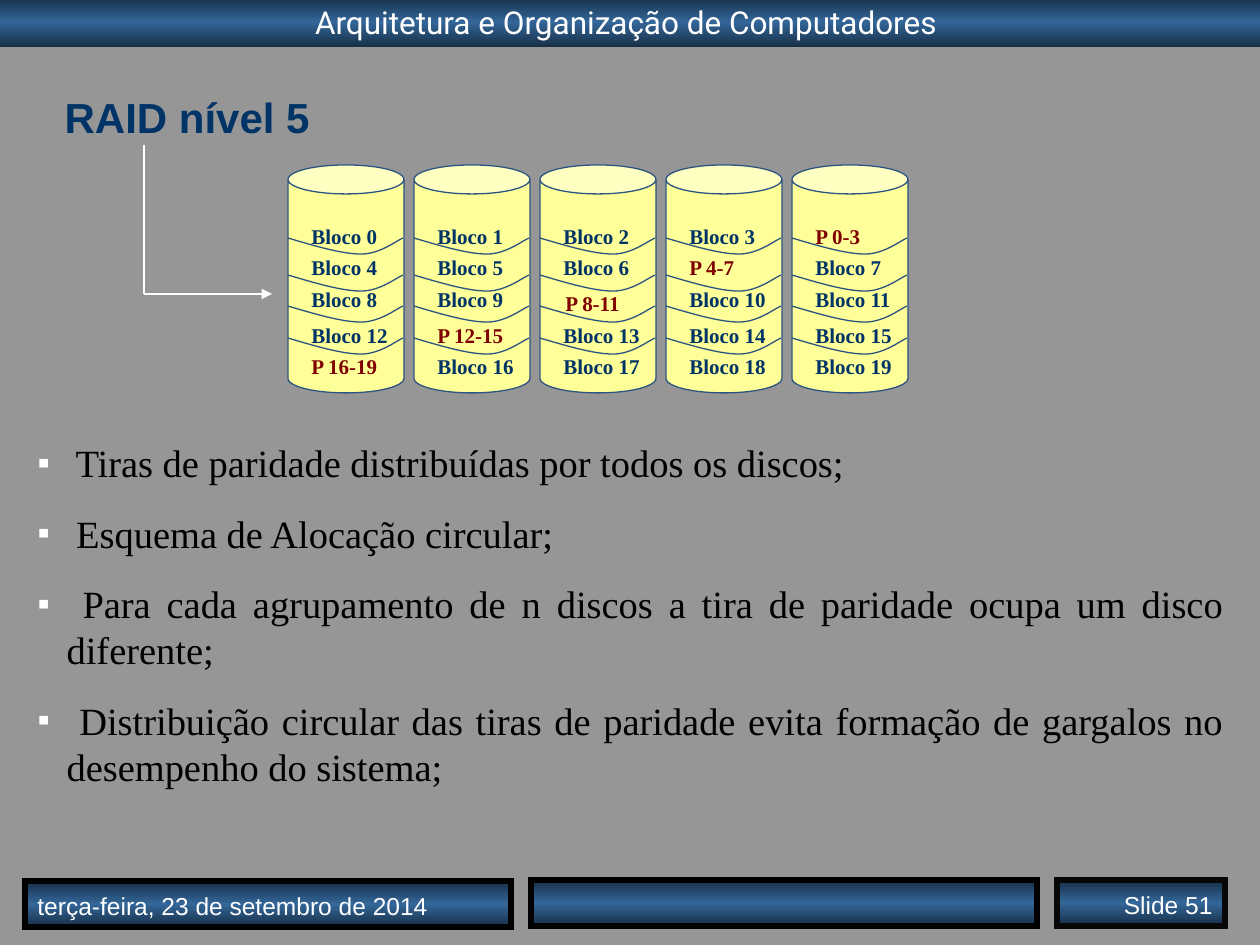
"""Builds the RAID level 5 slide: striped disks, title and bullet list."""
from lxml import etree
from pptx import Presentation
from pptx.dml.color import RGBColor
from pptx.enum.shapes import MSO_CONNECTOR, MSO_SHAPE
from pptx.enum.text import MSO_ANCHOR, MSO_AUTO_SIZE, PP_ALIGN
from pptx.oxml import parse_xml
from pptx.oxml.ns import nsdecls, qn
from pptx.util import Pt

PX = 914400 / 126
LEFT, CENTER, RIGHT, JUSTIFY = (
    PP_ALIGN.LEFT, PP_ALIGN.CENTER, PP_ALIGN.RIGHT, PP_ALIGN.JUSTIFY)
TOP, BOTTOM = MSO_ANCHOR.TOP, MSO_ANCHOR.BOTTOM
RECT, CAN, STRAIGHT = MSO_SHAPE.RECTANGLE, MSO_SHAPE.CAN, MSO_CONNECTOR.STRAIGHT
NO_FIT = MSO_AUTO_SIZE.NONE

WHITE = RGBColor(0xFF, 0xFF, 0xFF)
BLACK = RGBColor(0, 0, 0)
COAL = RGBColor(8, 8, 8)
GRAY = RGBColor(0x96, 0x96, 0x96)
NAVY = RGBColor(0, 0x33, 0x66)
DARK = RGBColor(0x17, 0x2F, 0x46)
BLUE = RGBColor(0x33, 0x66, 0x99)
EDGE = RGBColor(0x2B, 0x54, 0x81)
CREAM = RGBColor(0xFF, 0xFF, 0x99)
MAROON = RGBColor(0x80, 0, 0)
SANS, SERIF, HEAD = "Arial", "Times New Roman", "Roboto"

TITLE = "RAID nível 5"
BARS = [
    ((0, -3, 1260, 50), "Arquitetura e Organização de Computadores ",
     dict(face=HEAD, size=18, align=CENTER), None),
    ((25, 881, 486, 46), "terça-feira, 23 de setembro de 2014",
     dict(anchor=BOTTOM), BLACK),
    ((531, 880, 506, 46), "", {}, BLACK),
    ((1057, 880, 168, 46), "Slide 51",
     dict(align=RIGHT, anchor=BOTTOM), COAL),
]
DISKS = [
    ["Bloco 0", "Bloco 4", "Bloco 8", "Bloco 12", "P 16-19"],
    ["Bloco 1", "Bloco 5", "Bloco 9", "P 12-15", "Bloco 16"],
    ["Bloco 2", "Bloco 6", "P 8-11", "Bloco 13", "Bloco 17"],
    ["Bloco 3", "P 4-7", "Bloco 10", "Bloco 14", "Bloco 18"],
    ["P 0-3", "Bloco 7", "Bloco 11", "Bloco 15", "Bloco 19"],
]
NUDGE = {"P 8-11": (2, 4)}
POINTS = [
    " Tiras de paridade distribuídas por todos os discos;",
    " Esquema de Alocação circular;",
    " Para cada agrupamento de n discos a tira de paridade ocupa um disco "
    "diferente;",
    " Distribuição circular das tiras de paridade evita formação de gargalos "
    "no desempenho do sistema;",
]
DISK_X, DISK_Y, DISK_W, DISK_H, STEP = 288, 165, 116, 228, 126
ROWS = [217, 248, 280, 316, 347]
WAVES = [238, 275, 306, 338]
CURVE = [(27, 8), (54, 16), (73, 16), (92, 16), (108, 3), (115, 0)]
ELBOW = [(144, 145), (144, 294), (272, 294)]


def emu(*nums):
    return [round(num * PX) for num in nums]


def write(shape, *lines, face=SANS, size=14, color=WHITE, bold=False,
          align=LEFT, anchor=TOP, wrap=True, gap=0):
    frame = shape.text_frame
    frame.auto_size, frame.word_wrap = NO_FIT, wrap
    frame.vertical_anchor = anchor
    for i, line in enumerate(lines):
        para = frame.add_paragraph() if i else frame.paragraphs[0]
        para.alignment = align
        para.space_before = Pt(gap if i else 0)
        run = para.add_run()
        run.text = line
        font = run.font
        font.name, font.size, font.bold = face, Pt(size), bold
        font.color.rgb = color


def shade(shape):
    shape.fill.gradient()
    shape.fill.gradient_angle = 90
    stops = shape._element.spPr.find(".//" + qn("a:gsLst"))
    stops.clear()
    for pos, color in ((0, DARK), (50, BLUE), (100, DARK)):
        stops.append(parse_xml(
            f'<a:gs {nsdecls("a")} pos="{pos * 1000}">'
            f'<a:srgbClr val="{color}"/></a:gs>'))


def bullet(para):
    props = para._p.get_or_add_pPr()
    indent = emu(29)[0]
    props.set("marL", str(indent))
    props.set("indent", str(-indent))
    color = etree.SubElement(props, qn("a:buClr"))
    etree.SubElement(color, qn("a:srgbClr"), val=str(WHITE))
    etree.SubElement(props, qn("a:buSzPct"), val="90000")
    etree.SubElement(props, qn("a:buFont"), typeface=SANS)
    etree.SubElement(props, qn("a:buChar"), char="▪")


def outline(shape, color, width):
    shape.line.color.rgb = color
    shape.line.width = Pt(width)


def extend(shape, tag, **attrs):
    etree.SubElement(shape._element.spPr.find(qn("a:ln")), qn(tag), **attrs)


def place(shape, *box):
    shape.left, shape.top, shape.width, shape.height = emu(*box)


def wave(shapes, left, top):
    pen = shapes.build_freeform(*emu(left, top))
    pen.add_line_segments([emu(left + x, top + y) for x, y in CURVE], close=False)
    shape = pen.convert_to_shape()
    shape.shadow.inherit = False
    shape.fill.background()
    outline(shape, EDGE, 0.75)
    track = shape._element.spPr.find(".//" + qn("a:path"))
    lines = track.findall(qn("a:lnTo"))
    for n in range(0, len(lines), 3):
        bend = etree.SubElement(track, qn("a:cubicBezTo"))
        for line in lines[n:n + 3]:
            bend.append(line[0])
            track.remove(line)


def disk(shapes, left, labels):
    can = shapes.add_shape(CAN, *emu(left, DISK_Y, DISK_W, DISK_H))
    can.shadow.inherit = False
    can.fill.solid()
    can.fill.fore_color.rgb = CREAM
    outline(can, EDGE, 0.75)
    for top in WAVES:
        wave(shapes, left, top)
    for top, label in zip(ROWS, labels):
        dx, dy = NUDGE.get(label, (0, 0))
        box = shapes.add_textbox(*emu(left + 11 + dx, top + dy, 100, 38))
        write(box, label, face=SERIF, size=12, bold=True, wrap=False,
              color=MAROON if label.startswith("P") else NAVY)


def main():
    deck = Presentation()
    deck.slide_width, deck.slide_height = emu(1260, 945)
    slide = deck.slides.add_slide(deck.slide_layouts[1])
    slide.background.fill.solid()
    slide.background.fill.fore_color.rgb = GRAY
    shapes = slide.shapes

    place(shapes.title, 52, 85, 320, 63)
    write(shapes.title, TITLE, size=24, color=NAVY, bold=True)
    body = slide.placeholders[1]
    place(body, 25, 433, 1211, 362)
    write(body, *POINTS, face=SERIF, size=22, color=BLACK, align=JUSTIFY,
          gap=13.8)
    for para in body.text_frame.paragraphs:
        bullet(para)

    for box, text, style, edge in BARS:
        bar = shapes.add_shape(RECT, *emu(*box))
        bar.shadow.inherit = False
        shade(bar)
        if edge is None:
            bar.line.fill.background()
        else:
            outline(bar, edge, 3)
            extend(bar, "a:miter", lim="800000")
        if text:
            write(bar, text, **style)

    for i, labels in enumerate(DISKS):
        disk(shapes, DISK_X + i * STEP, labels)

    for start, end in zip(ELBOW, ELBOW[1:]):
        line = shapes.add_connector(STRAIGHT, *emu(*start, *end))
        outline(line, WHITE, 0.75)
        etree.SubElement(line._element.spPr, qn("a:effectLst"))
    extend(line, "a:tailEnd", type="triangle")

    deck.save("out.pptx")


if __name__ == "__main__":
    main()
